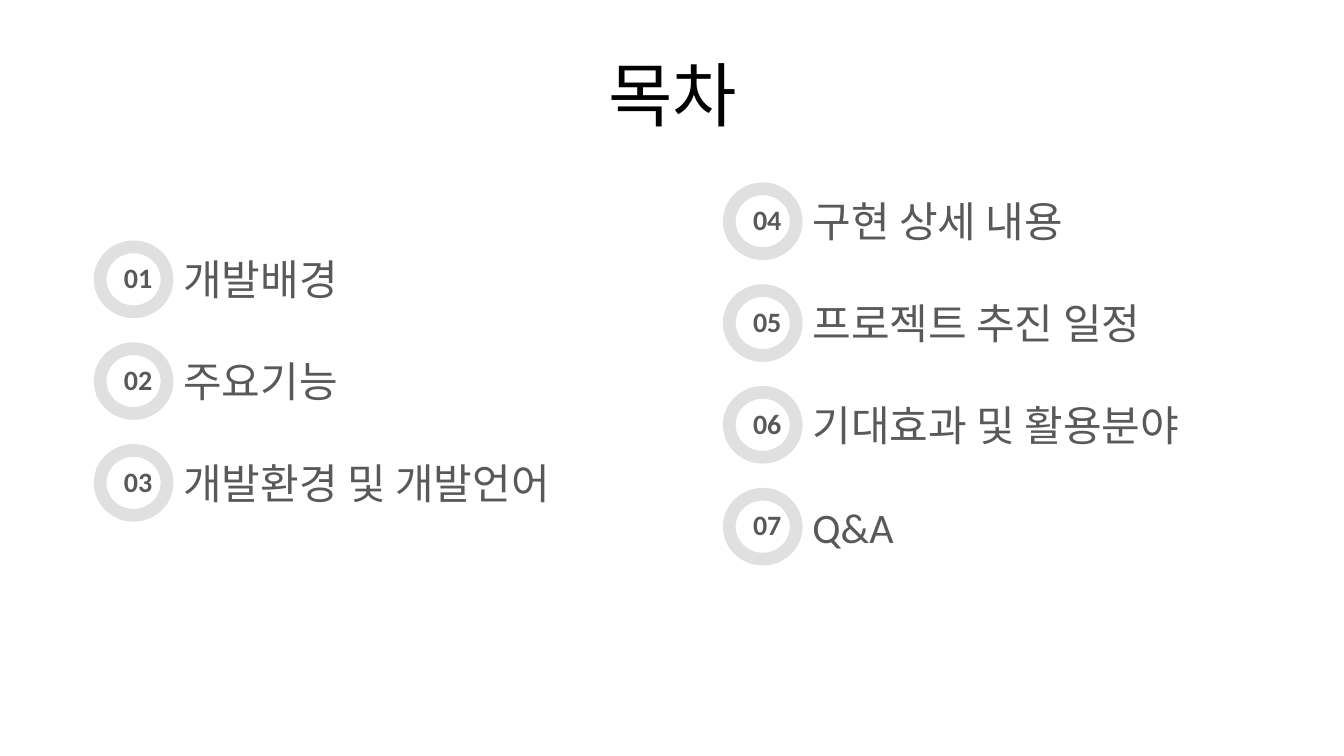
from dataclasses import dataclass

from pptx import Presentation
from pptx.dml.color import RGBColor
from pptx.enum.shapes import MSO_SHAPE as Shape
from pptx.enum.text import MSO_ANCHOR as Anchor, MSO_AUTO_SIZE as AutoSize, PP_ALIGN as Align
from pptx.util import Inches, Pt


@dataclass(frozen=True)
class Theme:
    font: str = "Calibri"
    title_color: RGBColor = RGBColor(0x00, 0x00, 0x00)
    text_color: RGBColor = RGBColor(0x59, 0x59, 0x59)
    ring_color: RGBColor = RGBColor(0xE0, 0xE0, 0xE0)
    title_size: int = 50
    label_size: int = 30
    number_size: int = 20


class AgendaPage:
    """Places elements by grid column and row; the grid starts at the first ring."""

    left, top = 0.93, 1.81
    column_width, row_height = 6.24, 1.01

    def __init__(self, page, theme):
        self.page = page
        self.theme = theme

    def place(self, column, row, shift_x, shift_y, width, height):
        x = self.left + column * self.column_width + shift_x
        y = self.top + row * self.row_height + shift_y
        return [Inches(value) for value in (x, y, width, height)]

    def text(self, area, words, size, color, frame_format=None, para_format=None, bold=False):
        frame = self.page.shapes.add_textbox(*area).text_frame
        para = frame.paragraphs[0]
        span = para.add_run()
        span.text = words
        span.font.color.rgb = color
        formats = (
            (frame, {"word_wrap": True, **(frame_format or {})}),
            (para, para_format or {}),
            (span.font, {"name": self.theme.font, "size": Pt(size), "bold": bold}),
        )
        for target, values in formats:
            for name, value in values.items():
                setattr(target, name, value)

    def title(self, words):
        area = [Inches(value) for value in (0.67, 0.3, 12, 1.25)]
        self.text(area, words, self.theme.title_size, self.theme.title_color,
                  {"vertical_anchor": Anchor.MIDDLE}, {"alignment": Align.CENTER})

    def ring(self, column, row):
        ring = self.page.shapes.add_shape(
            Shape.DONUT, *self.place(column, row, 0, 0, 0.79, 0.77))
        ring.adjustments[0] = 0.164
        ring.shadow.inherit = False
        ring.fill.solid()
        ring.fill.fore_color.rgb = self.theme.ring_color
        ring.line.fill.background()

    def entry(self, column, row, number, words):
        theme = self.theme
        grow = {"auto_size": AutoSize.SHAPE_TO_FIT_TEXT}
        self.text(self.place(column, row, 0.79, 0.38, 5.2, 0.34), words,
                  theme.label_size, theme.text_color,
                  {**grow, "vertical_anchor": Anchor.MIDDLE}, {"line_spacing": Pt(12)})
        self.text(self.place(column, row, 0.2, 0.15, 0.59, 0.44), f"{number:02d}",
                  theme.number_size, theme.text_color, grow, bold=True)
        self.ring(column, row)


def main():
    deck = Presentation()
    deck.slide_width, deck.slide_height = Inches(13.33), Inches(7.5)
    agenda = AgendaPage(deck.slides.add_slide(deck.slide_layouts[6]), Theme())

    # Heading
    agenda.title("목차")

    # Two columns of numbered topics, each with its first grid row
    columns = (
        (0.57, ("개발배경", "주요기능", "개발환경 및 개발언어")),
        (0, ("구현 상세 내용", "프로젝트 추진 일정", "기대효과 및 활용분야", "Q&A")),
    )
    number = 1
    for column, (first_row, topics) in enumerate(columns):
        for step, topic in enumerate(topics):
            agenda.entry(column, first_row + step, number, topic)
            number += 1

    deck.save("out.pptx")


if __name__ == "__main__":
    main()
